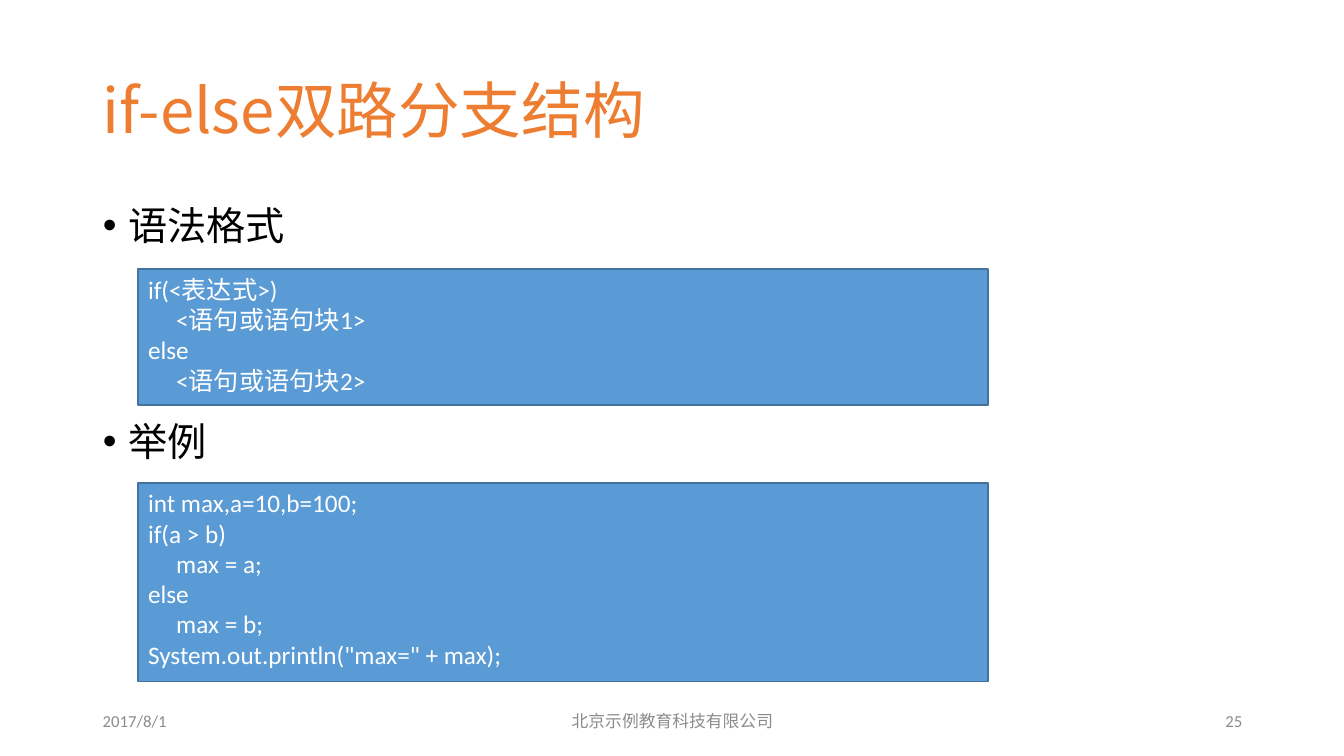
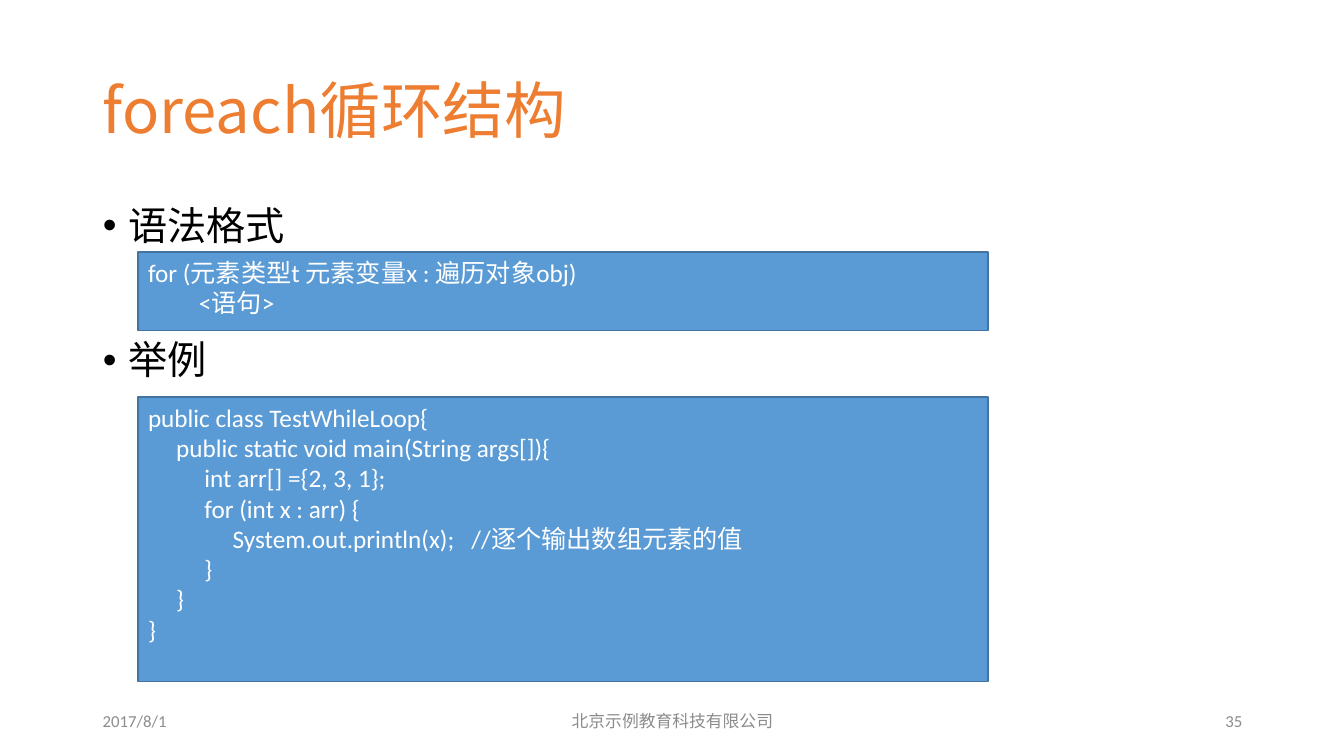
from dataclasses import dataclass

from lxml.etree import SubElement
from pptx import Presentation
from pptx.dml.color import RGBColor
from pptx.enum.shapes import MSO_SHAPE
from pptx.enum.text import MSO_ANCHOR, MSO_AUTO_SIZE, PP_ALIGN
from pptx.oxml.ns import qn
from pptx.util import Inches, Pt

ORANGE, BLACK, WHITE, GRAY = "ED7D31", "000000", "FFFFFF", "8C8C8C"
CODE_FILL, CODE_LINE = "5B9BD5", "43739E"
LATIN, CHINESE = "Calibri", "Noto Sans CJK SC"
MARGIN, CODE_LEFT, CODE_WIDTH = 0.92, 1.37, 8.43
CODE_INDENT = 0.28
DATE, COMPANY = "2017/8/1", "北京示例教育科技有限公司"


@dataclass(frozen=True)
class CodeLine:
    text: str
    level: float = 0


@dataclass(frozen=True)
class Section:
    heading: str
    space_before: float
    code_top: float
    code_height: float
    code: tuple[CodeLine, ...]


@dataclass(frozen=True)
class Lesson:
    title: str
    number: int
    sections: tuple[Section, ...]


@dataclass(frozen=True)
class FooterPart:
    left: float
    width: float
    align: PP_ALIGN


FOOTER_PARTS = (
    FooterPart(MARGIN, 3, PP_ALIGN.LEFT),
    FooterPart(4.42, 4.5, PP_ALIGN.CENTER),
    FooterPart(9.42, 3, PP_ALIGN.RIGHT),
)

LESSONS = (
    Lesson("if-else双路分支结构", 25, (
        Section("语法格式", 10, 2.67, 1.35, (
            CodeLine("if(<表达式>)"),
            CodeLine("<语句或语句块1>", 1),
            CodeLine("else"),
            CodeLine("<语句或语句块2>", 1),
        )),
        Section("举例", 124, 4.79, 1.97, (
            CodeLine("int max,a=10,b=100;"),
            CodeLine("if(a > b)"),
            CodeLine("max = a;", 1),
            CodeLine("else"),
            CodeLine("max = b;", 1),
            CodeLine('System.out.println("max=" + max);'),
        )),
    )),
    Lesson("foreach循环结构", 35, (
        Section("语法格式", 10, 2.5, 0.78, (
            CodeLine("for (元素类型t 元素变量x : 遍历对象obj)"),
            CodeLine("<语句>", 1.8),
        )),
        Section("举例", 65.5, 3.94, 2.82, (
            CodeLine("public class TestWhileLoop{"),
            CodeLine("public static void main(String args[]){", 1),
            CodeLine("int arr[] ={2, 3, 1};", 2),
            CodeLine("for (int x : arr) {", 2),
            CodeLine("System.out.println(x);   //逐个输出数组元素的值", 3),
            CodeLine("}", 2),
            CodeLine("}", 1),
            CodeLine("}"),
        )),
    )),
)


def rgb(color: str) -> RGBColor:
    return RGBColor.from_string(color)


def place(shape, left: float, top: float, width: float, height: float) -> None:
    shape.left, shape.top = Inches(left), Inches(top)
    shape.width, shape.height = Inches(width), Inches(height)


def prepare_frame(frame, anchor: MSO_ANCHOR) -> None:
    frame.word_wrap = True
    frame.auto_size = MSO_AUTO_SIZE.NONE
    frame.vertical_anchor = anchor


def write(frame, text: str, *, size: float, color: str, latin: str = LATIN,
          align: PP_ALIGN = PP_ALIGN.LEFT, spacing: float = 1, before: float = 0,
          margin: float = 0, bullet: str = ""):
    """Fill the frame's first empty paragraph, or add one after its text."""
    para = frame.add_paragraph() if frame.text else frame.paragraphs[0]
    para.alignment = align
    para.line_spacing = spacing
    para.space_before = Pt(before)
    properties = para._p.get_or_add_pPr()
    properties.set("marL", str(Inches(margin)))
    properties.set("indent", str(-Inches(margin) if bullet else 0))
    if bullet:
        SubElement(properties, qn("a:buFont"), typeface="Arial")
        SubElement(properties, qn("a:buChar"), char=bullet)
    span = para.add_run()
    span.text = text
    span.font.size = Pt(size)
    span.font.name = latin
    span.font.color.rgb = rgb(color)
    SubElement(span._r.get_or_add_rPr(), qn("a:ea"), typeface=CHINESE)


def add_code_box(page, section: Section) -> None:
    box = page.shapes.add_shape(
        MSO_SHAPE.RECTANGLE, Inches(CODE_LEFT), Inches(section.code_top),
        Inches(CODE_WIDTH), Inches(section.code_height))
    box.shadow.inherit = False
    box.fill.solid()
    box.fill.fore_color.rgb = rgb(CODE_FILL)
    box.line.color.rgb = rgb(CODE_LINE)
    box.line.width = Pt(1)
    prepare_frame(box.text_frame, MSO_ANCHOR.TOP)
    for line in section.code:
        write(box.text_frame, line.text, size=18, color=WHITE,
              margin=line.level * CODE_INDENT)


def add_footer(page, number: int) -> None:
    for part, text in zip(FOOTER_PARTS, (DATE, COMPANY, str(number))):
        box = page.shapes.add_textbox(
            Inches(part.left), Inches(6.95), Inches(part.width), Inches(0.4))
        prepare_frame(box.text_frame, MSO_ANCHOR.MIDDLE)
        write(box.text_frame, text, size=12, color=GRAY, align=part.align)


def add_lesson(deck, lesson: Lesson) -> None:
    page = deck.slides.add_slide(deck.slide_layouts[1])
    title, body = page.placeholders
    place(title, MARGIN, 0.4, 8.69, 1.45)
    prepare_frame(title.text_frame, MSO_ANCHOR.MIDDLE)
    write(title.text_frame, lesson.title, size=44, color=ORANGE,
          latin=CHINESE, spacing=0.9)
    place(body, MARGIN, 2, 11.5, 4.76)
    prepare_frame(body.text_frame, MSO_ANCHOR.TOP)
    for section in lesson.sections:
        write(body.text_frame, section.heading, size=28, color=BLACK,
              latin=CHINESE, spacing=0.9, before=section.space_before,
              margin=0.25, bullet="•")
        add_code_box(page, section)
    add_footer(page, lesson.number)


def main() -> None:
    deck = Presentation()
    deck.slide_width, deck.slide_height = Inches(13.33), Inches(7.5)
    for lesson in LESSONS:
        add_lesson(deck, lesson)
    deck.save("out.pptx")


if __name__ == "__main__":
    main()
